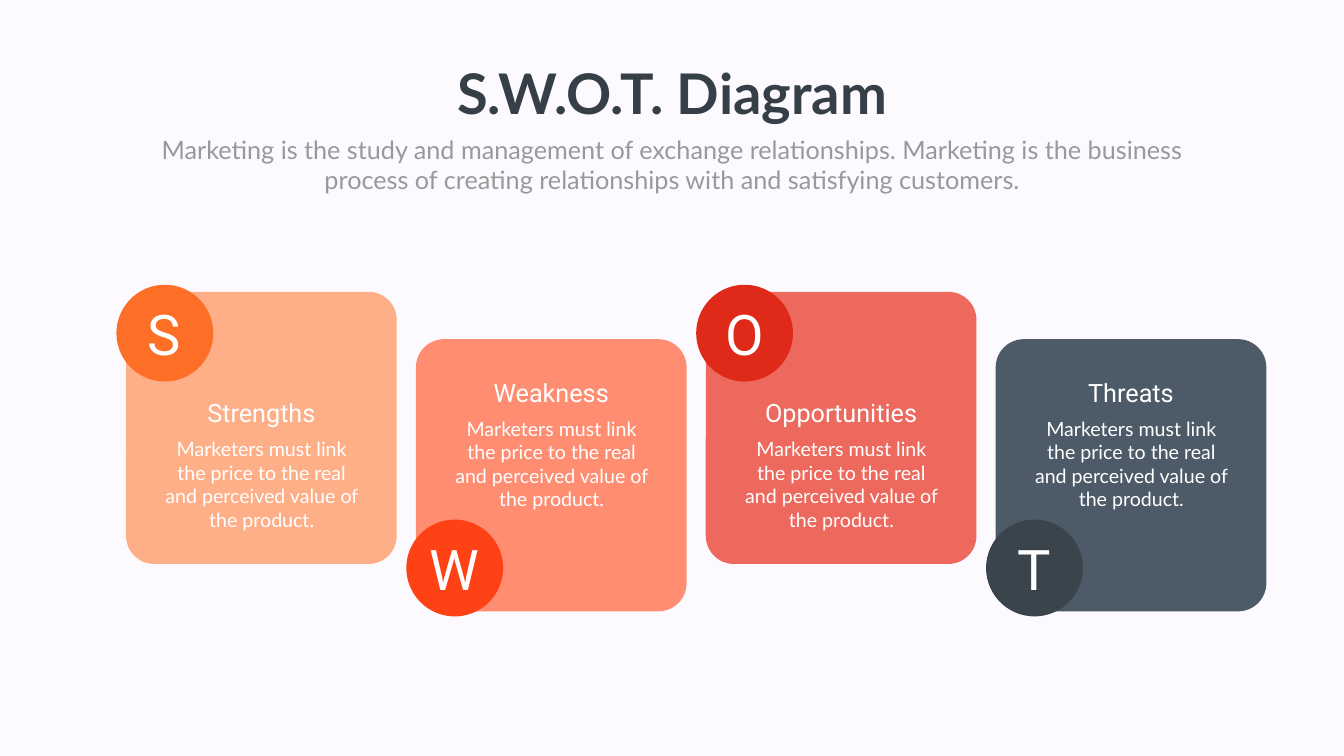
"""Build a four-card S.W.O.T. diagram slide."""
from dataclasses import dataclass
from typing import Any

from pptx import Presentation
from pptx.dml.color import RGBColor
from pptx.enum.shapes import MSO_SHAPE
from pptx.enum.text import MSO_ANCHOR, PP_ALIGN
from pptx.util import Inches, Pt

BACKGROUND = RGBColor(0xFD, 0xFA, 0xFF)
WHITE = RGBColor(0xFF, 0xFF, 0xFF)
TITLE_INK = RGBColor(0x36, 0x3E, 0x48)
SUBTITLE_GRAY = RGBColor(0x99, 0x99, 0x99)
PEACH = RGBColor(0xFE, 0xAF, 0x87)
ORANGE = RGBColor(0xFD, 0x6F, 0x27)
SALMON = RGBColor(0xFF, 0x8D, 0x72)
VERMILION = RGBColor(0xFF, 0x42, 0x16)
CORAL = RGBColor(0xED, 0x69, 0x5D)
RED = RGBColor(0xDF, 0x29, 0x19)
SLATE = RGBColor(0x4C, 0x5B, 0x67)
CHARCOAL = RGBColor(0x39, 0x44, 0x4D)

CARD_LEFT, CARD_PITCH = 2.5, 5.75
CARD_WIDTH, CARD_HEIGHT = 5.37, 5.4
BADGE_SIZE, BADGE_OFFSET = 1.92, -0.19
DESCRIPTION = "Marketers must link the price to the real and perceived value of the product."


@dataclass(frozen=True)
class Row:
    card_top: float
    badge_top: float
    heading_top: float


@dataclass(frozen=True)
class Card:
    heading: str
    card_color: RGBColor
    badge_color: RGBColor
    row: Row


@dataclass(frozen=True)
class Style:
    font: str
    size: int
    color: RGBColor = WHITE
    bold: bool = False


UPPER = Row(5.79, 5.65, 7.83)
LOWER = Row(6.73, 10.31, 7.43)
CARDS = (
    Card("Strengths", PEACH, ORANGE, UPPER),
    Card("Weakness", SALMON, VERMILION, LOWER),
    Card("Opportunities", CORAL, RED, UPPER),
    Card("Threats", SLATE, CHARCOAL, LOWER),
)
TITLE = Style("Lato", 80, TITLE_INK, True)
SUBTITLE = Style("Lato", 36, SUBTITLE_GRAY)
LETTER = Style("Roboto", 80)
HEADING = Style("Roboto", 36)
BODY = Style("Lato", 28)


def add_text(shapes: Any, text: str, style: Style, left: float, top: float,
             width: float, height: float) -> None:
    """Add a centred, wrapping text box."""
    box = shapes.add_textbox(Inches(left), Inches(top), Inches(width), Inches(height))
    frame = box.text_frame
    frame.word_wrap = True
    frame.vertical_anchor = MSO_ANCHOR.TOP
    paragraph = frame.paragraphs[0]
    paragraph.alignment = PP_ALIGN.CENTER
    run = paragraph.add_run()
    run.text = text
    run.font.name = style.font
    run.font.size = Pt(style.size)
    run.font.bold = style.bold
    run.font.color.rgb = style.color


def add_panel(shapes: Any, kind: MSO_SHAPE, color: RGBColor, left: float, top: float,
              width: float, height: float) -> Any:
    """Add a flat filled shape without an outline."""
    panel = shapes.add_shape(kind, Inches(left), Inches(top), Inches(width), Inches(height))
    panel.shadow.inherit = False
    panel.fill.solid()
    panel.fill.fore_color.rgb = color
    panel.line.fill.background()
    return panel


def add_card(shapes: Any, card: Card, left: float) -> None:
    """Add a card with its letter badge, heading and description."""
    row = card.row
    panel = add_panel(shapes, MSO_SHAPE.ROUNDED_RECTANGLE, card.card_color,
                      left, row.card_top, CARD_WIDTH, CARD_HEIGHT)
    panel.adjustments[0] = 0.104
    badge_left = left + BADGE_OFFSET
    add_panel(shapes, MSO_SHAPE.OVAL, card.badge_color,
              badge_left, row.badge_top, BADGE_SIZE, BADGE_SIZE)
    add_text(shapes, card.heading[0], LETTER, badge_left + 0.12, row.badge_top + 0.25, 1.67, 1.45)
    caption = shapes.add_group_shape().shapes
    add_text(caption, DESCRIPTION, BODY, left + 0.65, row.heading_top + 0.79, 4.08, 1.99)
    add_text(caption, card.heading, HEADING, left + 0.9, row.heading_top, 3.57, 0.71)


def main() -> None:
    """Build and save the slide."""
    presentation = Presentation()
    presentation.slide_width = Inches(26.66)
    presentation.slide_height = Inches(15)
    slide = presentation.slides.add_slide(presentation.slide_layouts[6])
    slide.background.fill.solid()
    slide.background.fill.fore_color.rgb = BACKGROUND
    for index, card in enumerate(CARDS):
        add_card(slide.shapes, card, CARD_LEFT + index * CARD_PITCH)
    header = slide.shapes.add_group_shape().shapes
    add_text(header, "S.W.O.T. Diagram", TITLE, 8.8, 1.12, 9.07, 1.45)
    add_text(header, "Marketing is the study and management of exchange relationships. "
             "Marketing is the business process of creating relationships with and "
             "satisfying customers.", SUBTITLE, 2.92, 2.61, 20.82, 1.31)
    presentation.save("out.pptx")


main()
